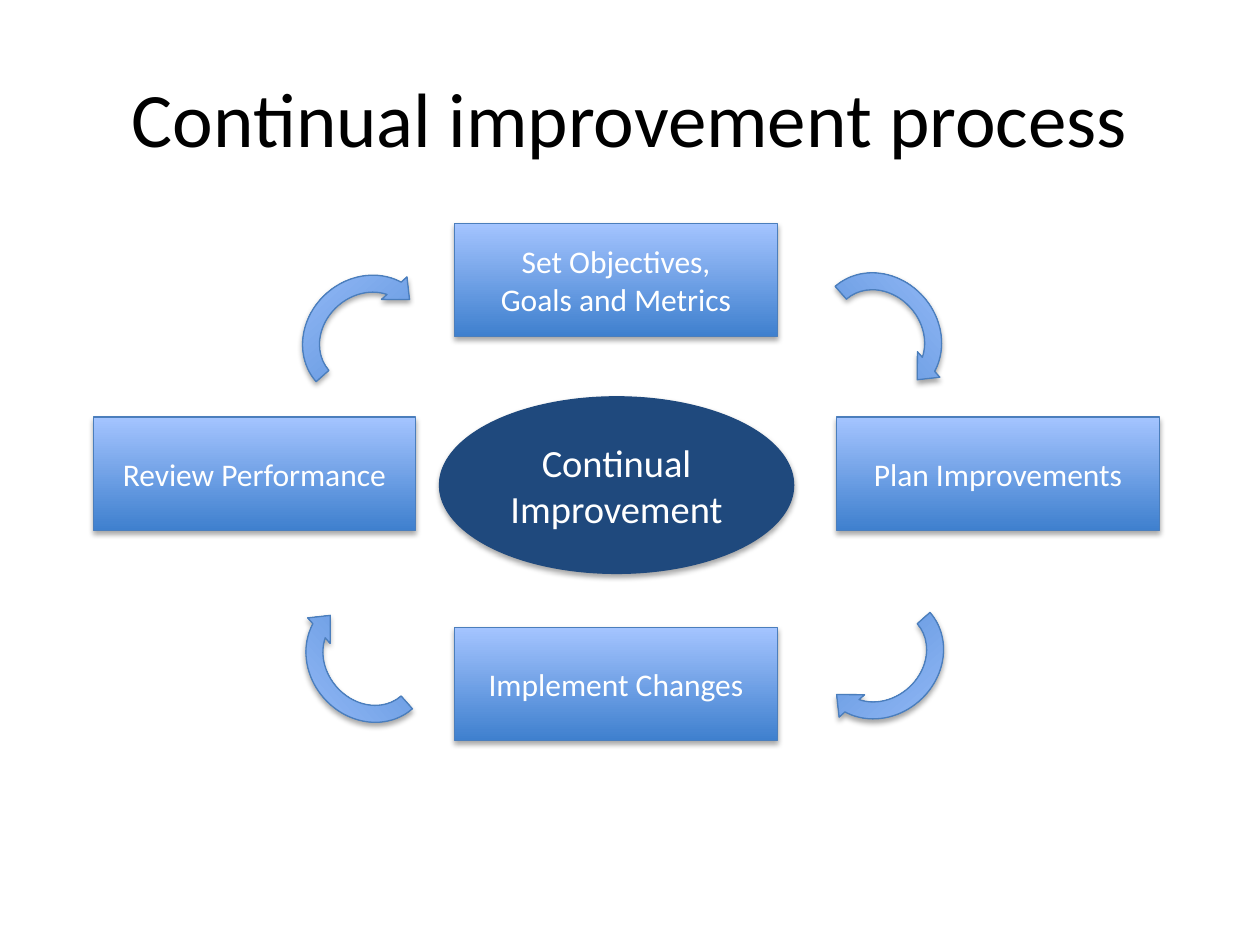
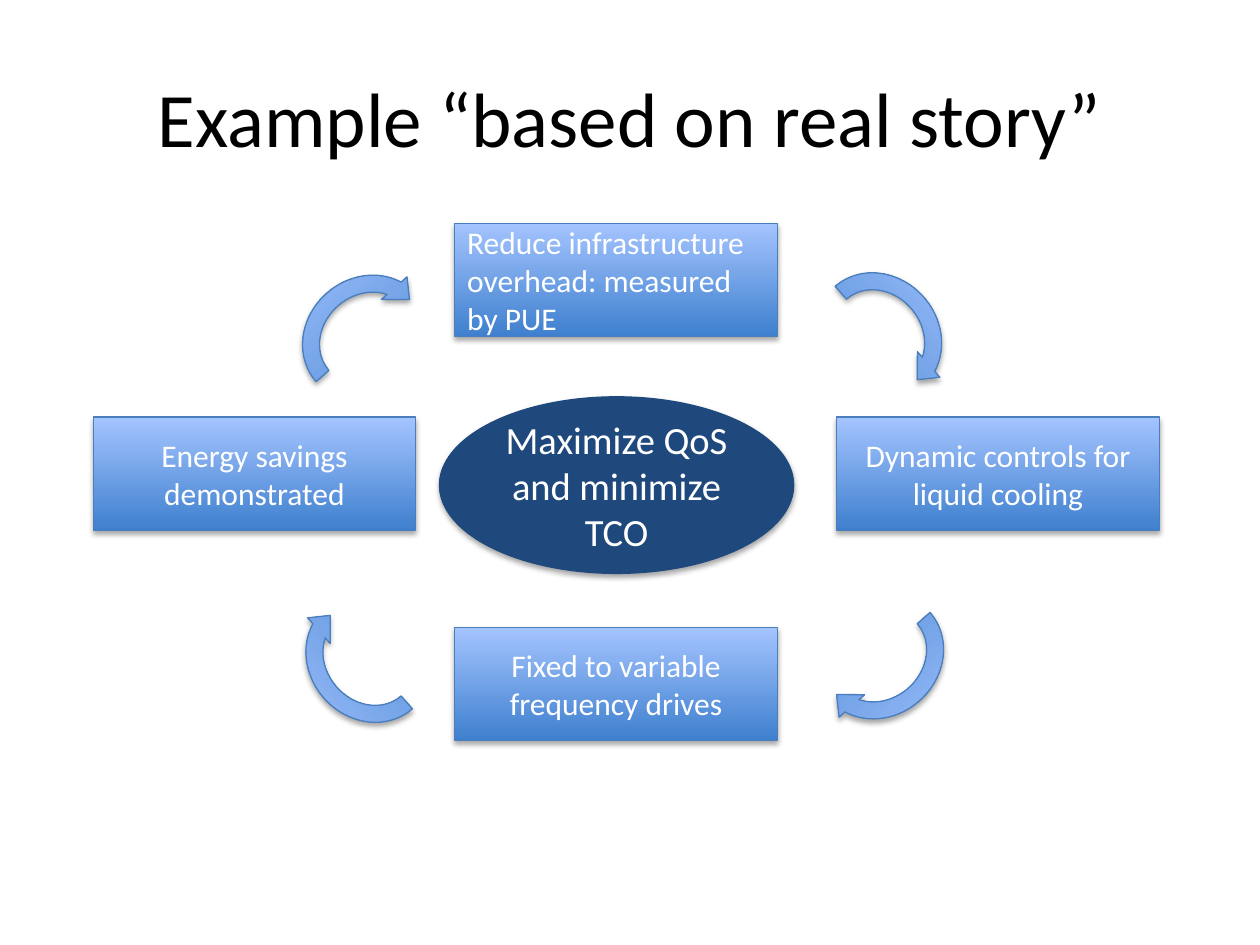
from pptx import Presentation
from pptx.dml.color import RGBColor
from pptx.enum import shapes, text
from pptx.util import Cm, Pt

SLIDES = [
    {"title": "Continual improvement process",
     "goal": "Continual Improvement",
     "steps": ["Set Objectives,\nGoals and Metrics", "Plan Improvements",
               "Implement Changes", "Review Performance"],
     "left_steps": []},
    {"title": "Example “based on real story”",
     "goal": "Maximize QoS and minimize TCO",
     "steps": ["Reduce infrastructure overhead: measured by PUE",
               "Dynamic controls for liquid cooling",
               "Fixed to variable frequency drives",
               "Energy savings demonstrated"],
     "left_steps": [0]},
]

COLORS = {"title": "000000", "label": "FFFFFF", "deep": "3F80CE",
          "light": "A4C4FF", "outline": "4B7EBC", "goal": "1F497D"}
TITLE_BOX = (1.27, 0.76, 22.86, 3.18)
GOAL_BOX = (8.86, 8, 7.14, 3.56)
STEP_SIZE = (6.5, 2.28)
STEP_SPOTS = [(9.17, 4.5), (16.87, 8.41), (9.17, 12.65), (1.88, 8.41)]
ARROW_SIZE = (3.02, 2.74)
ARROW_SPOTS = [(16.21, 5.41), (16.23, 11.86), (5.92, 11.91), (5.87, 5.44)]
FIRST_TURN = 48.7

KIND = shapes.MSO_SHAPE
ALIGN = text.PP_ALIGN
FONTS = {
    "title": {"name": "Calibri", "size": Pt(44)},
    "goal": {"name": "Calibri", "size": Pt(22)},
    "step": {"name": "Calibri", "size": Pt(18)},
}


def color(name):
    return RGBColor.from_string(COLORS[name])


def place(sp, box):
    for side, value in zip(("left", "top", "width", "height"), box):
        setattr(sp, side, Cm(value))


def write(sp, words, style, ink, align=ALIGN.CENTER):
    tf = sp.text_frame
    tf.text = words
    tf.word_wrap = True
    tf.vertical_anchor = text.MSO_ANCHOR.MIDDLE
    for p in tf.paragraphs:
        p.alignment = align
        for r in p.runs:
            for key, value in FONTS[style].items():
                setattr(r.font, key, value)
            r.font.color.rgb = color(ink)


def add_shape(s, kind, box, outline):
    sp = s.shapes.add_shape(kind, *map(Cm, box))
    sp.line.color.rgb = color(outline)
    sp.line.width = Pt(0.75)
    return sp


def add_shaded(s, kind, box):
    sp = add_shape(s, kind, box, "outline")
    sp.fill.gradient()
    sp.fill.gradient_angle = 90
    for stop, name, position in zip(sp.fill.gradient_stops, ("deep", "light"), (0, 1)):
        stop.color.rgb = color(name)
        stop.position = position
    return sp


def add_cycle(prs, content):
    s = prs.slides.add_slide(prs.slide_layouts[5])
    place(s.shapes.title, TITLE_BOX)
    write(s.shapes.title, content["title"], "title", "title")
    for i, (words, spot) in enumerate(zip(content["steps"], STEP_SPOTS)):
        align = ALIGN.LEFT if i in content["left_steps"] else ALIGN.CENTER
        step = add_shaded(s, KIND.RECTANGLE, spot + STEP_SIZE)
        write(step, words, "step", "label", align)
    for i, spot in enumerate(ARROW_SPOTS):
        arrow = add_shaded(s, KIND.CIRCULAR_ARROW, spot + ARROW_SIZE)
        arrow.rotation = FIRST_TURN + 90 * i
    goal = add_shape(s, KIND.OVAL, GOAL_BOX, "goal")
    goal.fill.solid()
    goal.fill.fore_color.rgb = color("goal")
    write(goal, content["goal"], "goal", "label")


def main():
    prs = Presentation()
    prs.slide_width, prs.slide_height = Cm(25.4), Cm(19.05)
    for content in SLIDES:
        add_cycle(prs, content)
    prs.save("out.pptx")


if __name__ == "__main__":
    main()
